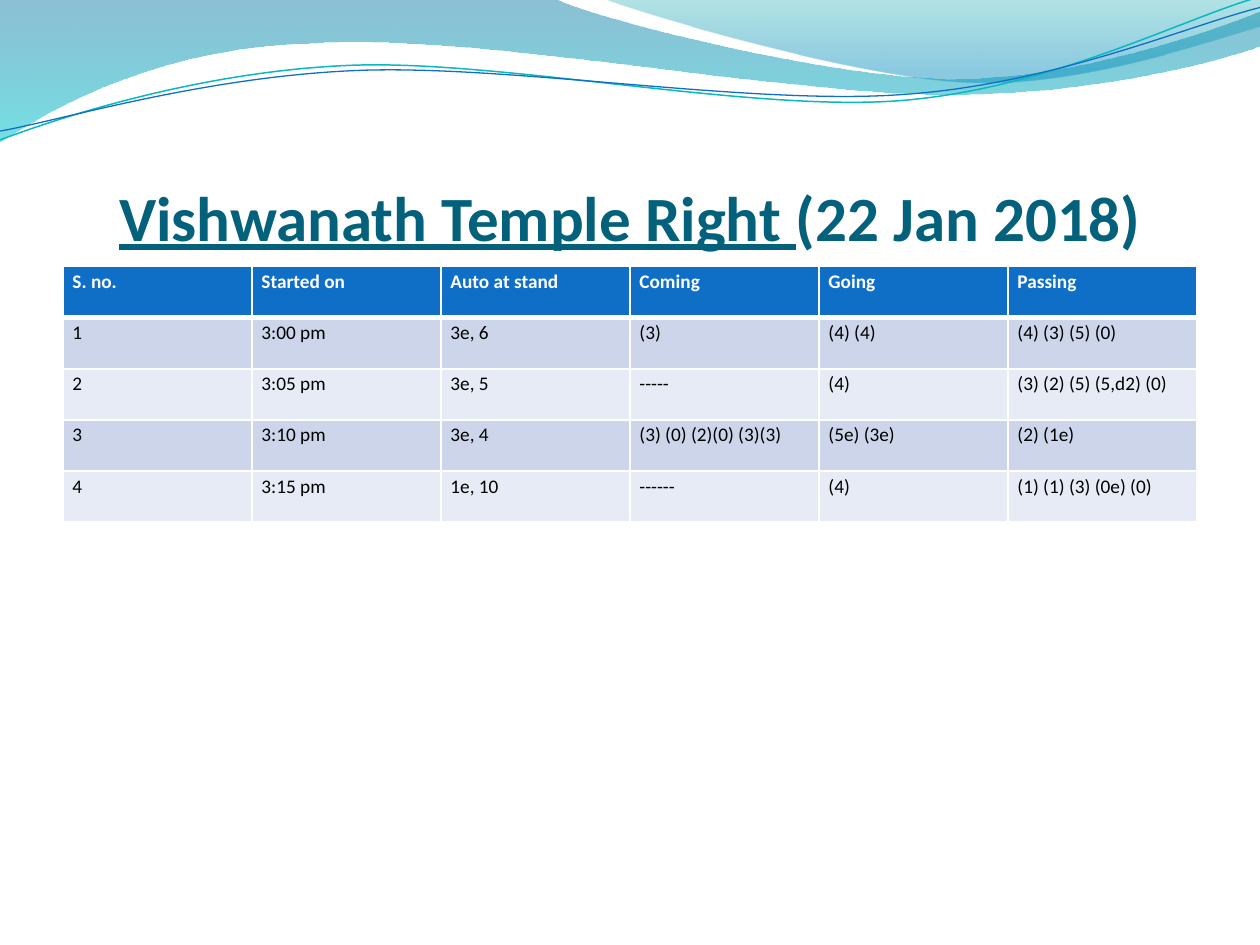
import math

from lxml import etree
from pptx import Presentation
from pptx.dml import color
from pptx.enum import text
from pptx.oxml import ns
from pptx.util import Pt

FONT = "Calibri"
WHITE, BLACK, BLUE, TEAL = "FFFFFF", "000000", "0F6FC6", "04617B"
BANDS = ("CCD5EA", "E7EBF5")
LINE_TILT = -2.7

# Each wave is a start point, then pieces: 1 point is a line, 3 points a Bézier curve.
FILLED_WAVES = [
    ((0, 0),
     [[(317, -0.7)],
      [(343, 12), (478, 45), (546, 45)],
      [(614, 45), (690, 18.7), (720, 6.5)],
      [(720.7, 26)],
      [(708, 32), (626, 55), (537, 54)],
      [(448, 54), (275, 20), (185, 24.5)],
      [(93, 26), (33, 60), (-0.7, 81.4)],
      [(0, 0)]],
     [(0, "0074A1", 45), (1, "00C6CF", 55)]),
    ((345, -0.7),
     [[(366.5, 8), (491, 44.6), (553.7, 46.8)],
      [(616.3, 49.7), (692, 23), (720, 15)],
      [(720, 0)],
      [(345, -0.7)]],
     [(0, "00A1A9", 30), (0.8, "008BBF", 45)]),
]
LINE_WAVES = [
    ((0, 80),
     [[(34.6, 67), (113.8, 41), (199.4, 37.4)],
      [(284.4, 33.8), (427, 64), (513.4, 57.6)],
      [(599.8, 51), (675.4, 10.8), (718.6, -1.4)]],
     "0AB8BF", 0.85),
    ((0, 74.9),
     [[(33.8, 69.1), (115.9, 43.9), (203.8, 40.3)],
      [(290.2, 36.7), (429.8, 60.5), (516.2, 54)],
      [(601.9, 48.2), (677.5, 15.1), (720, 4.3)]],
     BLUE, 0.75),
]
ROWS = [
    ("S. no.", "Started on", "Auto at stand", "Coming", "Going", "Passing"),
    ("1", "3:00 pm", "3e, 6", "(3)", "(4) (4)", "(4) (3) (5) (0)"),
    ("2", "3:05 pm", "3e, 5", "-----", "(4)", "(3) (2) (5) (5,d2) (0)"),
    ("3", "3:10 pm", "3e, 4", "(3) (0) (2)(0) (3)(3)", "(5e) (3e)", "(2) (1e)"),
    ("4", "3:15 pm", "1e, 10", "------", "(4)", "(1) (1) (3) (0e) (0)"),
]


def rgb(value):
    return color.RGBColor.from_string(value)


def set_all(target, values):
    for name, value in values.items():
        setattr(target, name, value)


def add_span(para, words, fill, **font):
    span = para.add_run()
    span.text = words
    set_all(span.font, {"name": FONT, **font})
    span.font.color.rgb = rgb(fill)


def turn(point, centre, degrees):
    angle = math.radians(degrees)
    dx, dy = point[0] - centre[0], point[1] - centre[1]
    return (centre[0] + dx * math.cos(angle) - dy * math.sin(angle),
            centre[1] + dx * math.sin(angle) + dy * math.cos(angle))


def bend_segments(shape, pieces):
    """Merge the three line segments of each curve piece into one Bézier segment."""
    segments = iter(list(shape._element.iter(ns.qn("a:lnTo"))))
    for piece in pieces:
        first, *others = [next(segments) for _ in piece]
        if others:
            first.tag = ns.qn("a:cubicBezTo")
            for other in others:
                first.append(other[0])
                other.getparent().remove(other)


def add_wave(page, box, start, pieces, close, tilt=0):
    left, top, width, height = box
    centre = (width / 2, height / 2)
    points = [turn(point, centre, -tilt) for point in [start, *sum(pieces, [])]]
    placed = [(Pt(left + x), Pt(top + y)) for x, y in points]
    builder = page.shapes.build_freeform(*placed[0])
    builder.add_line_segments(placed[1:], close=close)
    wave = builder.convert_to_shape()
    bend_segments(wave, pieces)
    wave.rotation = tilt
    wave.shadow.inherit = False
    return wave


def fill_gradient(shape, stops):
    """Fill from top to bottom; each stop is position, colour and opacity in percent."""
    shape.fill.gradient()
    shape.fill.gradient_angle = 270
    for stop, (position, value, _) in zip(shape.fill.gradient_stops, stops):
        stop.position = position
        stop.color.rgb = rgb(value)
    tints = shape._element.spPr.iter(ns.qn("a:srgbClr"))
    for tint, (_, _, opacity) in zip(tints, stops):
        etree.SubElement(tint, ns.qn("a:alpha"), val=str(opacity * 1000))


def add_wave_header(page, box):
    for start, pieces, stops in FILLED_WAVES:
        wave = add_wave(page, box, start, pieces, close=True)
        fill_gradient(wave, stops)
        wave.line.fill.background()
    for start, pieces, value, width in LINE_WAVES:
        wave = add_wave(page, box, start, pieces, close=False, tilt=LINE_TILT)
        wave.fill.background()
        wave.line.color.rgb = rgb(value)
        wave.line.width = Pt(width)


def add_title(page, box):
    frame = page.shapes.add_textbox(*map(Pt, box)).text_frame
    set_all(frame, {"word_wrap": True, "vertical_anchor": text.MSO_ANCHOR.BOTTOM,
                    "margin_left": 0, "margin_right": 0,
                    "margin_top": Pt(3.6), "margin_bottom": 0})
    para = frame.paragraphs[0]
    para.alignment = text.PP_ALIGN.CENTER
    for words, underline in (("Vishwanath Temple Right ", True), ("(22 Jan 2018)", False)):
        add_span(para, words, TEAL, size=Pt(36), bold=True, underline=underline)


def set_borders(cell, widths):
    """Draw white borders; widths are left, right, top and bottom in points."""
    properties = cell._tc.get_or_add_tcPr()
    for index, (side, width) in enumerate(zip("LRTB", widths)):
        border = etree.Element(ns.qn(f"a:ln{side}"), w=str(Pt(width)))
        solid = etree.SubElement(border, ns.qn("a:solidFill"))
        etree.SubElement(solid, ns.qn("a:srgbClr"), val=WHITE)
        properties.insert(index, border)


def add_count_table(page, box):
    table = page.shapes.add_table(len(ROWS), len(ROWS[0]), *map(Pt, box)).table
    for column in table.columns:
        column.width = Pt(box[2] / len(ROWS[0]))
    for index, words in enumerate(ROWS):
        header = index == 0
        table.rows[index].height = Pt(box[3] / len(ROWS))
        widths = (1, 1, 3 if index == 1 else 1, 3 if header else 1)
        for cell, value in zip(table.rows[index].cells, words):
            set_all(cell, {"margin_left": Pt(5.4), "margin_right": Pt(5.4),
                           "margin_top": 0, "margin_bottom": 0})
            cell.fill.solid()
            cell.fill.fore_color.rgb = rgb(BLUE if header else BANDS[(index - 1) % 2])
            set_borders(cell, widths)
            para = cell.text_frame.paragraphs[0]
            para.line_spacing = 1.15
            add_span(para, value, WHITE if header else BLACK, size=Pt(11), bold=header)


def main():
    deck = Presentation()
    set_all(deck, {"slide_width": Pt(720), "slide_height": Pt(540)})
    page = deck.slides.add_slide(deck.slide_layouts[6])
    add_wave_header(page, (0, 0, 720, 82))
    add_title(page, (36, 55, 648, 90))
    add_count_table(page, (36, 152.4, 648, 146))
    deck.save("out.pptx")


if __name__ == "__main__":
    main()
